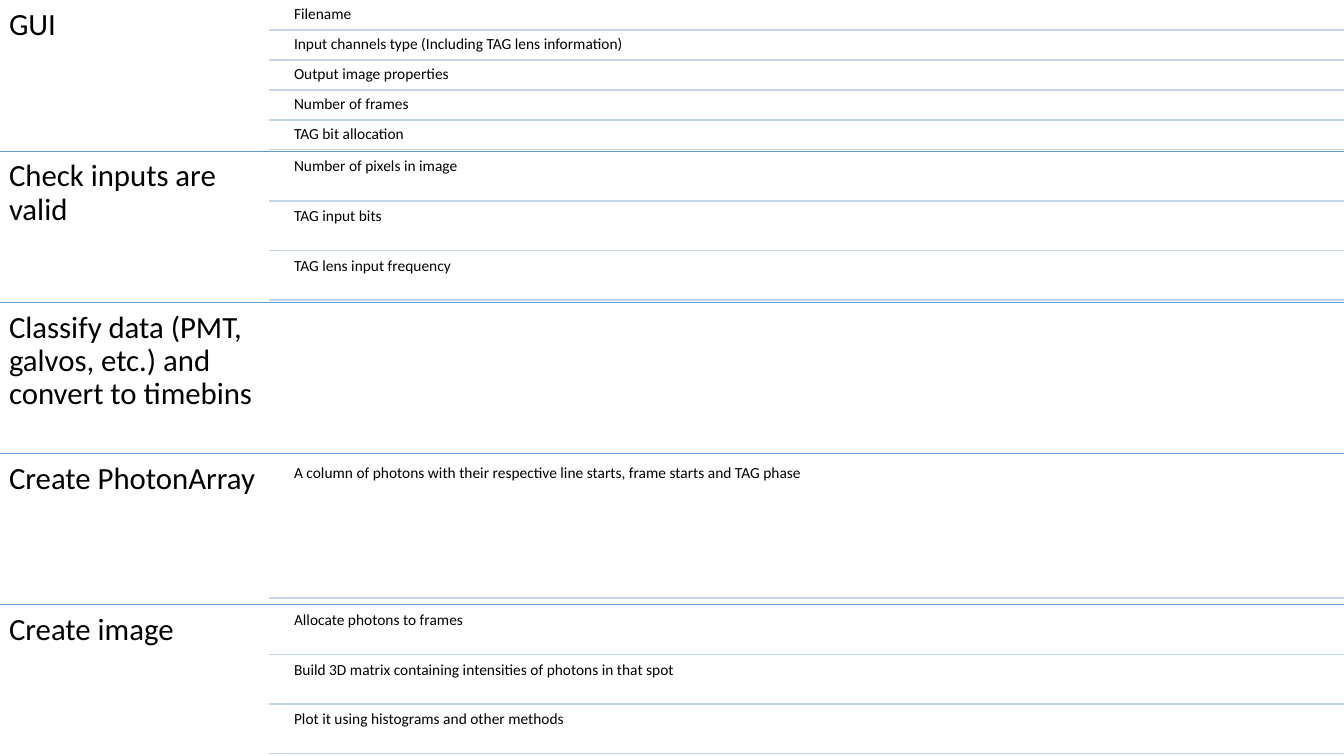
from lxml.etree import SubElement
from pptx import Presentation
from pptx.dml.color import RGBColor
from pptx.enum.shapes import MSO_CONNECTOR
from pptx.oxml.ns import qn
from pptx.util import Inches, Pt

BLACK = RGBColor(0x00, 0x00, 0x00)
BLUE = RGBColor(0x5B, 0x9B, 0xD5)
PALE = RGBColor(0xC4, 0xD5, 0xEB)

WIDE, HIGH = 13.33, 7.5
HEAD = WIDE / 5      # width of the heading column
INDENT = 0.2         # from the heading column to the item text
GAP = 0.05           # gap around items, as a share of item height

STEPS = [
    ("GUI", [
        "Filename",
        "Input channels type (Including TAG lens information)",
        "Output image properties",
        "Number of frames",
        "TAG bit allocation",
    ]),
    ("Check inputs are valid", [
        "Number of pixels in image",
        "TAG input bits",
        "TAG lens input frequency",
    ]),
    ("Classify data (PMT, galvos, etc.) and convert to timebins", []),
    ("Create PhotonArray", [
        "A column of photons with their respective line starts, "
        "frame starts and TAG phase",
    ]),
    ("Create image", [
        "Allocate photons to frames",
        "Build 3D matrix containing intensities of photons in that spot",
        "Plot it using histograms and other methods",
    ]),
]


def add_text(slide, text, left, top, width, height, size=11, inset=0.05):
    box = slide.shapes.add_textbox(*map(Inches, (left, top, width, height)))
    frame = box.text_frame
    frame.word_wrap = True
    frame.margin_left = frame.margin_right = Inches(inset)
    frame.margin_top = frame.margin_bottom = Inches(inset)
    par = frame.paragraphs[0]
    par.line_spacing = 0.9
    run = par.add_run()
    run.text = text
    run.font.name = "Calibri"
    run.font.size = Pt(size)
    run.font.color.rgb = BLACK


def add_rule(slide, left, right, y, color):
    rule = slide.shapes.add_connector(
        MSO_CONNECTOR.STRAIGHT, *map(Inches, (left, y, right, y)))
    rule.line.color.rgb = color
    rule.line.width = Pt(1)
    SubElement(rule._element.spPr, qn("a:effectLst"))


def add_items(slide, items, left, top, width, height):
    """Stack equal items, each with a pale rule below it."""
    count = len(items)
    tall = height / (count + (count + 1) * GAP)
    for i, item in enumerate(items):
        y = top + tall * (GAP + i * (1 + GAP))
        add_text(slide, item, left + INDENT, y, width - INDENT, tall)
        add_rule(slide, left, left + width, y + tall, PALE)


def add_step(slide, title, items, left, top, width, height):
    """Place a heading on the left and its items on the right."""
    add_text(slide, title, left, top, HEAD, height, size=22, inset=0.09)
    add_items(slide, items, left + HEAD, top, width - HEAD, height)


def main():
    deck = Presentation()
    deck.slide_width, deck.slide_height = Inches(WIDE), Inches(HIGH)
    slide = deck.slides.add_slide(deck.slide_layouts[6])

    # Equal bands, with a blue rule between them
    band = HIGH / len(STEPS)
    for i, (title, items) in enumerate(STEPS):
        if i:
            add_rule(slide, 0, WIDE, i * band, BLUE)
        add_step(slide, title, items, 0, i * band, WIDE, band)

    deck.save("out.pptx")


if __name__ == "__main__":
    main()
